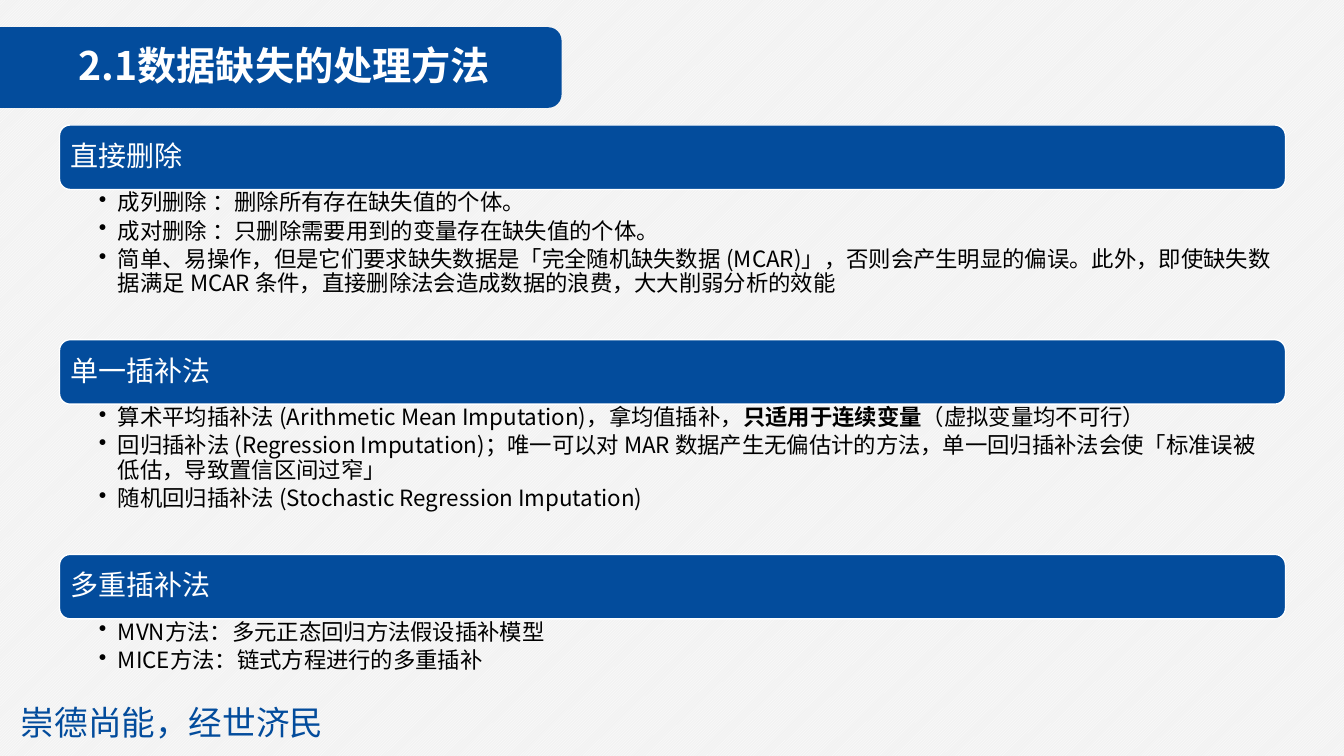
import pptx
import pptx.util
import pptx.dml.color
import pptx.enum.dml
import pptx.enum.shapes
import pptx.enum.text
import pptx.oxml
import pptx.oxml.ns

Inches = pptx.util.Inches
Pt = pptx.util.Pt
ANCHOR = pptx.enum.text.MSO_ANCHOR
FONT = "Noto Sans CJK SC"
COLORS = {"blue": "034C9C", "white": "FFFFFF", "gray": "F2F2F2", "black": "000000"}

# Text between asterisks is bold
PARTS = [
    ("直接删除", 1.49, [
        "成列删除 ：删除所有存在缺失值的个体。",
        "成对删除 ：只删除需要用到的变量存在缺失值的个体。",
        "简单、易操作，但是它们要求缺失数据是「完全随机缺失数据 (MCAR)」，否则会产生明显的偏误。"
        "此外，即使缺失数据满足 MCAR 条件，直接删除法会造成数据的浪费，大大削弱分析的效能",
    ]),
    ("单一插补法", 1.49, [
        "算术平均插补法 (Arithmetic Mean Imputation)，拿均值插补，*只适用于连续变量*（虚拟变量均不可行）",
        "回归插补法 (Regression Imputation)；唯一可以对 MAR 数据产生无偏估计的方法，"
        "单一回归插补法会使「标准误被低估，导致置信区间过窄」",
        "随机回归插补法 (Stochastic Regression Imputation)",
    ]),
    ("多重插补法", 0.79, [
        "MVN方法：多元正态回归方法假设插补模型",
        "MICE方法：链式方程进行的多重插补",
    ]),
]


def color(name):
    return pptx.dml.color.RGBColor.from_string(COLORS[name])


def style(para, size, tint, bold=False):
    """Format all runs of a paragraph, for Latin and Chinese letters."""
    para.alignment = pptx.enum.text.PP_ALIGN.LEFT
    for run in para.runs:
        font = run.font
        font.name, font.size, font.bold = FONT, Pt(size), bold
        font.color.rgb = color(tint)
        east = pptx.oxml.parse_xml(
            f'<a:ea {pptx.oxml.ns.nsdecls("a")} typeface="{FONT}"/>')
        run._r.get_or_add_rPr().find(pptx.oxml.ns.qn("a:latin")).addnext(east)


def frame(shape, left, top, right, bottom, anchor):
    text = shape.text_frame
    text.word_wrap = True
    text.auto_size = pptx.enum.text.MSO_AUTO_SIZE.NONE
    text.margin_left, text.margin_top = Inches(left), Inches(top)
    text.margin_right, text.margin_bottom = Inches(right), Inches(bottom)
    text.vertical_anchor = anchor
    return text


def bar(slide, x, y, w, h):
    shape = slide.shapes.add_shape(
        pptx.enum.shapes.MSO_SHAPE.ROUNDED_RECTANGLE,
        Inches(x), Inches(y), Inches(w), Inches(h))
    shape.shadow.inherit = False
    shape.fill.solid()
    shape.fill.fore_color.rgb = color("blue")
    shape.line.fill.background()
    return shape


def heading(slide, x, y, w, h):
    bar(slide, x, y, w, h)
    title = slide.shapes.title
    title.left, title.top = Inches(x + 0.85), Inches(y + 0.07)
    title.width, title.height = Inches(w - 1.17), Inches(h - 0.14)
    text = frame(title, 0.19, 0.05, 0.19, 0.05, ANCHOR.MIDDLE)
    text.text = "2.1数据缺失的处理方法"
    text.paragraphs[0].line_spacing = 0.9
    style(text.paragraphs[0], 28, "white", True)
    # Bring the title in front of its bar
    title._element.getparent().append(title._element)


def bullet(para):
    props = para._p.get_or_add_pPr()
    props.set("marL", str(Inches(0.19)))
    props.set("indent", str(-Inches(0.19)))
    props.append(pptx.oxml.parse_xml(
        f'<a:buChar {pptx.oxml.ns.nsdecls("a")} char="•"/>'))


def section(slide, x, y, w, h, name, items):
    # Header bar
    head = 0.64
    shape = bar(slide, x, y, w, head)
    shape.line.color.rgb = color("white")
    shape.line.width = Pt(1)
    text = frame(shape, 0.08, 0.08, 0.08, 0.08, ANCHOR.MIDDLE)
    text.text = name
    text.paragraphs[0].line_spacing = 0.9
    style(text.paragraphs[0], 20, "white")

    # Bullet list
    box = slide.shapes.add_textbox(
        Inches(x), Inches(y + head), Inches(w), Inches(h))
    text = frame(box, 0.39, 0.02, 0.12, 0.02, ANCHOR.TOP)
    text.text = "\n".join(item.replace("*", "") for item in items)
    for para, item in zip(text.paragraphs, items):
        pieces = item.split("*")
        para.runs[0].text = pieces[0]
        for piece in pieces[1:]:
            para.add_run().text = piece
        para.line_spacing = 0.9
        para.space_after = Pt(3)
        style(para, 16, "black")
        for run in para.runs[1::2]:
            run.font.bold = True
        bullet(para)


def motto(slide, x, y, w, h):
    box = slide.shapes.add_textbox(Inches(x), Inches(y), Inches(w), Inches(h))
    text = frame(box, 0.1, 0.05, 0.1, 0.05, ANCHOR.TOP)
    text.text = "崇德尚能，经世济民"
    style(text.paragraphs[0], 24, "blue")


def main():
    deck = pptx.Presentation()
    deck.slide_width, deck.slide_height = Inches(13.33), Inches(7.5)
    slide = deck.slides.add_slide(deck.slide_layouts.get_by_name("Title Only"))

    # Striped background
    fill = slide.background.fill
    fill.patterned()
    fill.pattern = pptx.enum.dml.MSO_PATTERN.DARK_UPWARD_DIAGONAL
    fill.fore_color.rgb = color("white")
    fill.back_color.rgb = color("gray")

    motto(slide, 0.11, 6.91, 4.27, 0.5)
    heading(slide, -0.26, 0.27, 5.83, 0.8)
    for i, (name, height, items) in enumerate(PARTS):
        section(slide, 0.59, 1.24 + 2.13 * i, 12.16, height, name, items)
    deck.save("out.pptx")


if __name__ == "__main__":
    main()
